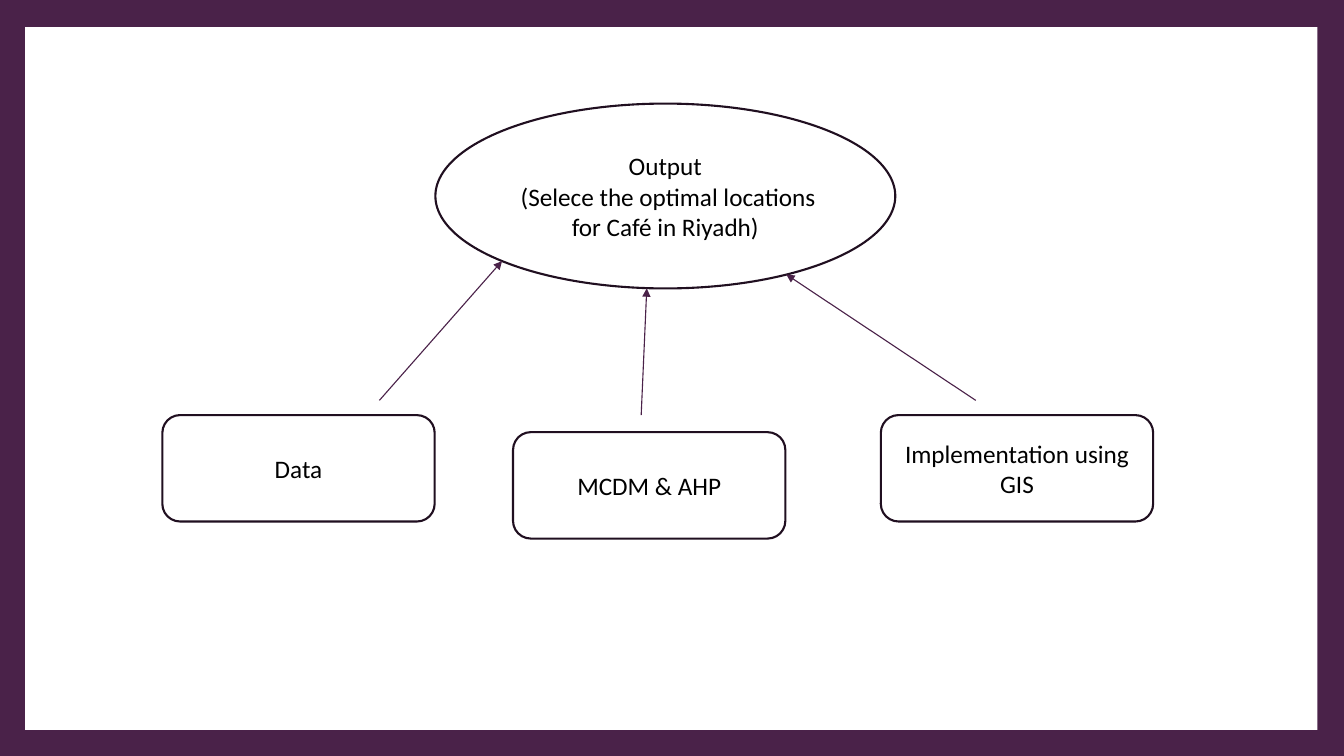
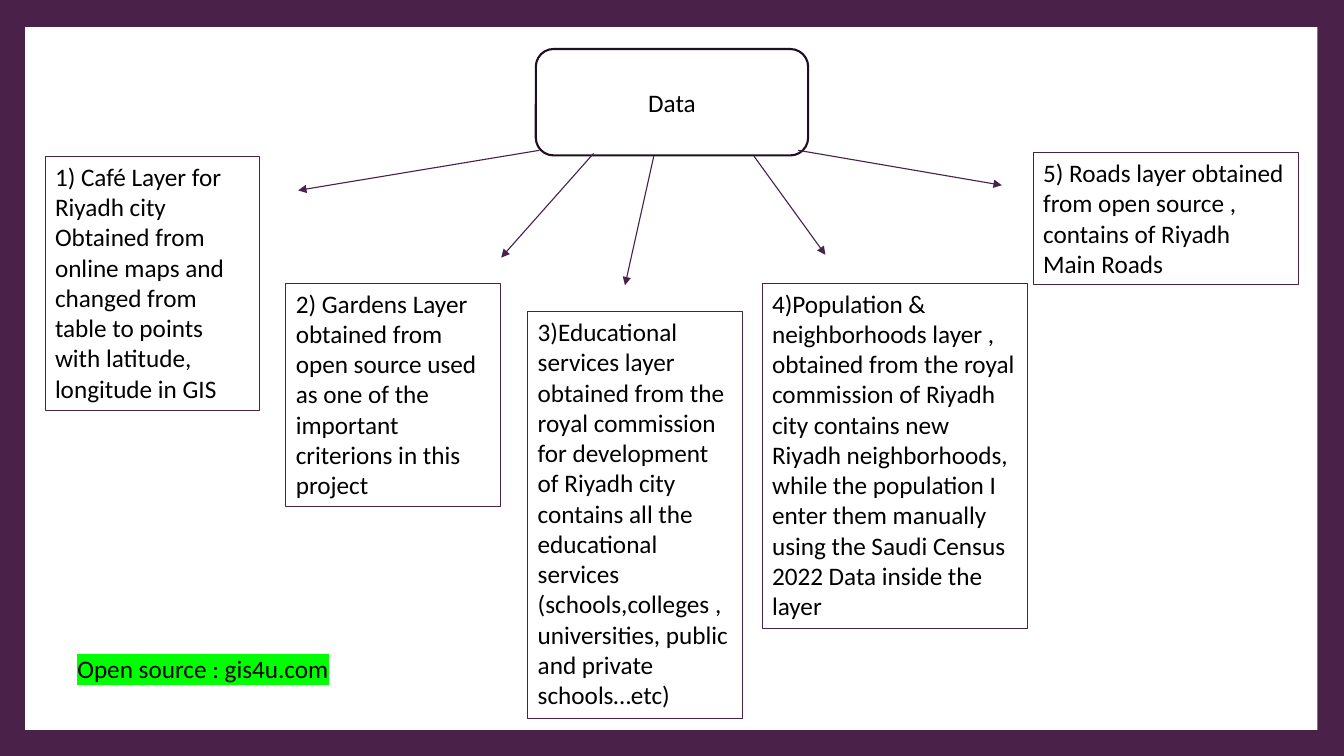
import pptx
import pptx.dml.color
import pptx.enum.shapes
import pptx.enum.text
import pptx.oxml.ns
import pptx.util
from lxml import etree

Pt = pptx.util.Pt
Shape = pptx.enum.shapes.MSO_SHAPE
Anchor = pptx.enum.text.MSO_ANCHOR
Align = pptx.enum.text.PP_ALIGN
AutoSize = pptx.enum.text.MSO_AUTO_SIZE

PURPLE, DARK, WHITE, BLACK, GREEN = "4A2249", "200F20", "FFFFFF", "000000", "00FF00"
FONT = {"name": "Calibri", "size": Pt(18)}
SLIDE_SIZE = (960, 540)
PANEL = (18, 19.4, 923, 502)
BOX_SIZE = (194.5, 76)
CENTRED = {"align": Align.CENTER, "anchor": Anchor.MIDDLE}
GROWING = {"auto_size": AutoSize.SHAPE_TO_FIT_TEXT}

OUTPUT = ["Output", " (Selece the optimal locations for Café in Riyadh)"]
OUTPUT_PLACE = (311, 74, 328.5, 132)
INPUTS = [
    ("Data", (116, 296.5)),
    ("MCDM & AHP", (366.5, 308.7)),
    ("Implementation using GIS", (629.2, 296.5)),
]
INPUT_ARROWS = [
    ((271, 286), (358.6, 186.5)),
    ((458, 296.5), (462, 206)),
    ((697, 286), (561.6, 196)),
]

DATA_TOP = 35
LAYERS = [
    ("1) Café Layer for Riyadh city Obtained from online maps and changed from table "
     "to points with latitude, longitude in GIS", (32.2, 111.6, 153.5, 181.5)),
    ("2) Gardens Layer obtained from open source used as one of the important criterions "
     "in this project", (204.2, 202.2, 153.5, 160)),
    ("3)Educational services layer obtained from the royal commission for development of "
     "Riyadh city contains all the educational services (schools,colleges , universities, "
     "public and private schools…etc)", (377, 222.5, 153.5, 291)),
    ("4)Population & neighborhoods layer , obtained from the royal commission of Riyadh "
     "city contains new Riyadh neighborhoods, while the population I enter them manually "
     "using the Saudi Census 2022 Data inside the layer", (544.4, 202.2, 189.5, 247)),
    ("5) Roads layer obtained from open source , contains of Riyadh Main Roads",
     (738, 109, 189.5, 94.5)),
]
LAYER_ARROWS = [
    ((385.2, 107.4), (213, 136)),
    ((424, 109.6), (358, 184)),
    ((467, 111.6), (446.4, 203.8)),
    ((570.2, 107.4), (715.6, 132.3)),
    ((538.6, 111.6), (589.6, 182)),
]
SOURCE = "Open source : gis4u.com"
SOURCE_PLACE = (48.2, 463, 236, 29)


def color(value):
    return pptx.dml.color.RGBColor.from_string(value)


def points(values):
    return [Pt(value) for value in values]


def set_line(part, value, width):
    part.line.color.rgb = color(value)
    part.line.width = Pt(width)


def write(part, paragraphs, align=Align.LEFT, anchor=Anchor.TOP, auto_size=AutoSize.NONE):
    frame = part.text_frame
    frame_format = {"word_wrap": True, "vertical_anchor": anchor, "auto_size": auto_size}
    for name, value in frame_format.items():
        setattr(frame, name, value)
    for index, text in enumerate(paragraphs):
        paragraph = frame.add_paragraph() if index else frame.paragraphs[0]
        paragraph.alignment = align
        run = paragraph.add_run()
        run.text = text
        run.font.color.rgb = color(BLACK)
        for name, value in FONT.items():
            setattr(run.font, name, value)
    return run


def add_filled(slide, kind, place):
    part = slide.shapes.add_shape(kind, *points(place))
    part.shadow.inherit = False
    part.fill.solid()
    part.fill.fore_color.rgb = color(WHITE)
    return part


def add_node(slide, kind, paragraphs, place):
    node = add_filled(slide, kind, place)
    set_line(node, DARK, 1.5)
    write(node, paragraphs, **CENTRED)


def add_box(slide, text, corner):
    add_node(slide, Shape.ROUNDED_RECTANGLE, [text], (*corner, *BOX_SIZE))


def add_arrows(slide, arrows):
    for start, end in arrows:
        arrow = slide.shapes.add_connector(
            pptx.enum.shapes.MSO_CONNECTOR.STRAIGHT, *points(start + end))
        set_line(arrow, PURPLE, 0.79)
        properties = arrow._element.spPr
        outline = properties.find(pptx.oxml.ns.qn("a:ln"))
        etree.SubElement(outline, pptx.oxml.ns.qn("a:tailEnd"), type="triangle")
        etree.SubElement(properties, pptx.oxml.ns.qn("a:effectLst"))


def add_note(slide, text, place):
    note = slide.shapes.add_textbox(*points(place))
    return note, write(note, [text], **GROWING)


def highlight(run, value):
    latin = run._r.get_or_add_rPr().find(pptx.oxml.ns.qn("a:latin"))
    mark = etree.Element(pptx.oxml.ns.qn("a:highlight"))
    etree.SubElement(mark, pptx.oxml.ns.qn("a:srgbClr"), val=value)
    latin.addprevious(mark)


def add_slide(deck):
    slide = deck.slides.add_slide(deck.slide_layouts[6])
    add_filled(slide, Shape.RECTANGLE, PANEL).line.fill.background()
    return slide


def build_overview(deck):
    slide = add_slide(deck)
    add_node(slide, Shape.OVAL, OUTPUT, OUTPUT_PLACE)
    add_arrows(slide, INPUT_ARROWS)
    for text, corner in INPUTS:
        add_box(slide, text, corner)


def build_data(deck):
    slide = add_slide(deck)
    add_box(slide, "Data", ((SLIDE_SIZE[0] - BOX_SIZE[0]) / 2, DATA_TOP))
    add_arrows(slide, LAYER_ARROWS)
    for text, place in LAYERS:
        layer, _ = add_note(slide, text, place)
        set_line(layer, PURPLE, 0.75)
    _, source_run = add_note(slide, SOURCE, SOURCE_PLACE)
    highlight(source_run, GREEN)


def main():
    deck = pptx.Presentation()
    deck.slide_width, deck.slide_height = points(SLIDE_SIZE)
    backdrop = deck.slide_master.background.fill
    backdrop.solid()
    backdrop.fore_color.rgb = color(PURPLE)
    build_overview(deck)
    build_data(deck)
    deck.save("out.pptx")


if __name__ == "__main__":
    main()
